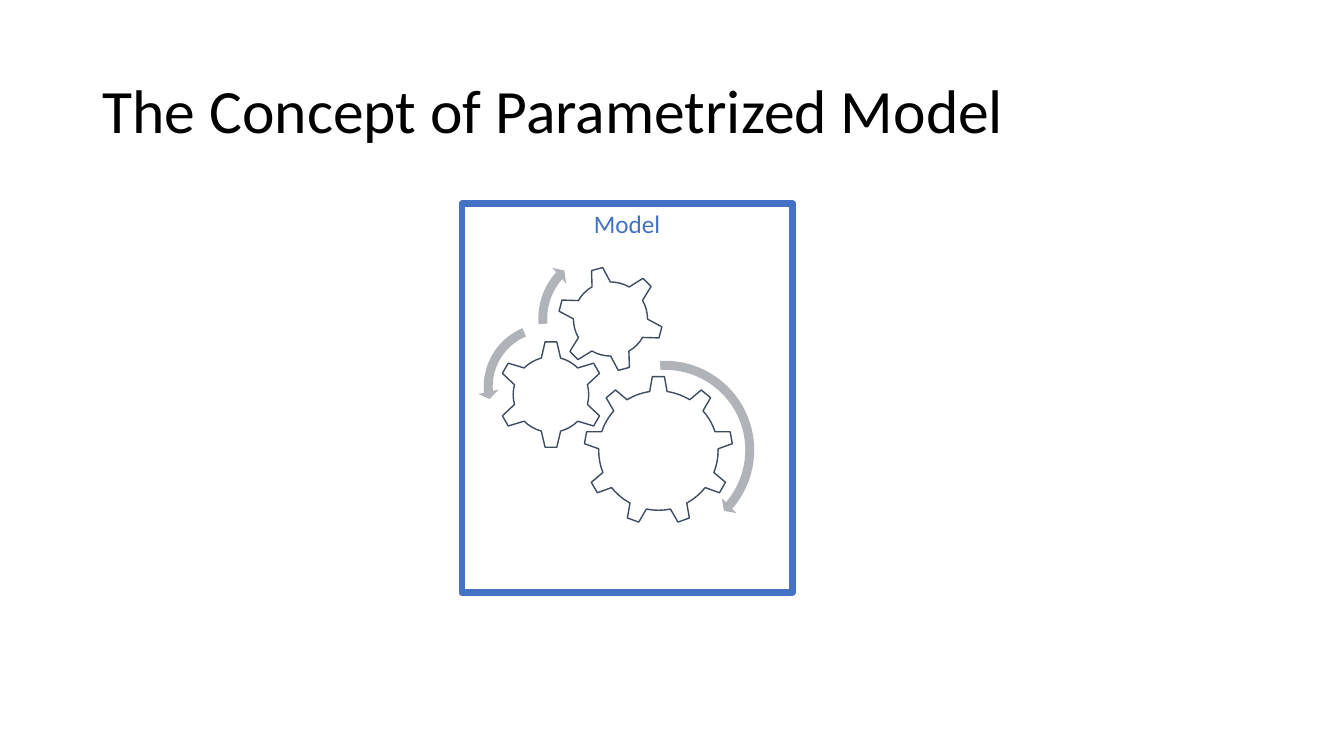
from pptx import Presentation
from pptx.dml.color import RGBColor
from pptx.enum import shapes, text
from pptx.util import Inches, Pt

KIND = shapes.MSO_SHAPE
FONT = "Calibri"
BLACK = RGBColor(0x00, 0x00, 0x00)
WHITE = RGBColor(0xFF, 0xFF, 0xFF)
SLATE = RGBColor(0x3E, 0x4C, 0x60)
GRAY = RGBColor(0xB0, 0xB4, 0xB9)
BLUE = RGBColor(0x44, 0x72, 0xC4)

TITLE = ("The Concept of Parametrized Model", (0.92, 0.4, 11.5, 1.45))
MODEL = ("Model", (4.58, 2.02, 3.28, 3.86))

# kind, left, top, size, rotation in degrees
GEARS = [
    (KIND.GEAR_9, 5.79, 3.73, 1.48, 0),
    (KIND.GEAR_6, 4.93, 3.38, 1.07, 0),
    (KIND.GEAR_6, 5.53, 2.64, 1.05, 345),
]
# kind, left, top, size, band %, (head, end, start angles in degrees), head width %
ARROWS = [
    (KIND.CIRCULAR_ARROW, 5.65, 3.52, 1.89, 4.7, (4.98, 40.87, 266.79), 5.5),
    (KIND.LEFT_CIRCULAR_ARROW, 4.74, 3.15, 1.37, 6.5, (7.17, 174.82, 247.3), 7.5),
    (KIND.CIRCULAR_ARROW, 5.28, 2.42, 1.48, 6, (6.57, 221.9, 175.14), 7),
]
ANGLE_UNIT = 60000 / 100000  # adjustment value of one degree


def add_plain_shape(parent, kind, place, fill=None, line=None, width=1):
    shape = parent.add_shape(kind, *map(Inches, place))
    shape.shadow.inherit = False
    if fill is None:
        shape.fill.background()
    else:
        shape.fill.solid()
        shape.fill.fore_color.rgb = fill
    if line is None:
        shape.line.fill.background()
    else:
        shape.line.color.rgb = line
        shape.line.width = Pt(width)
    return shape


def write(shape, words, size, color, align, anchor):
    frame = shape.text_frame
    frame.word_wrap = True
    frame.vertical_anchor = anchor
    para = frame.paragraphs[0]
    para.alignment = align
    span = para.add_run()
    span.text = words
    span.font.name = FONT
    span.font.size = Pt(size)
    span.font.color.rgb = color
    return para


def main():
    deck = Presentation()
    deck.slide_width, deck.slide_height = Inches(13.33), Inches(7.5)
    page = deck.slides.add_slide(deck.slide_layouts[6])

    words, place = TITLE
    title = page.shapes.add_textbox(*map(Inches, place))
    para = write(title, words, 44, BLACK, text.PP_ALIGN.LEFT, text.MSO_ANCHOR.MIDDLE)
    para.line_spacing = 0.9

    gearwork = page.shapes.add_group_shape().shapes
    for kind, left, top, size, turn in GEARS:
        gear = add_plain_shape(gearwork, kind, (left, top, size, size), WHITE, SLATE)
        gear.rotation = turn
    for kind, left, top, size, band, angles, head in ARROWS:
        arrow = add_plain_shape(gearwork, kind, (left, top, size, size), GRAY)
        values = [band / 100, *(angle * ANGLE_UNIT for angle in angles), head / 100]
        for index, value in enumerate(values):
            arrow.adjustments[index] = value

    words, place = MODEL
    model = add_plain_shape(page.shapes, KIND.RECTANGLE, place, line=BLUE, width=4.5)
    write(model, words, 18, BLUE, text.PP_ALIGN.CENTER, text.MSO_ANCHOR.TOP)

    deck.save("out.pptx")


if __name__ == "__main__":
    main()
